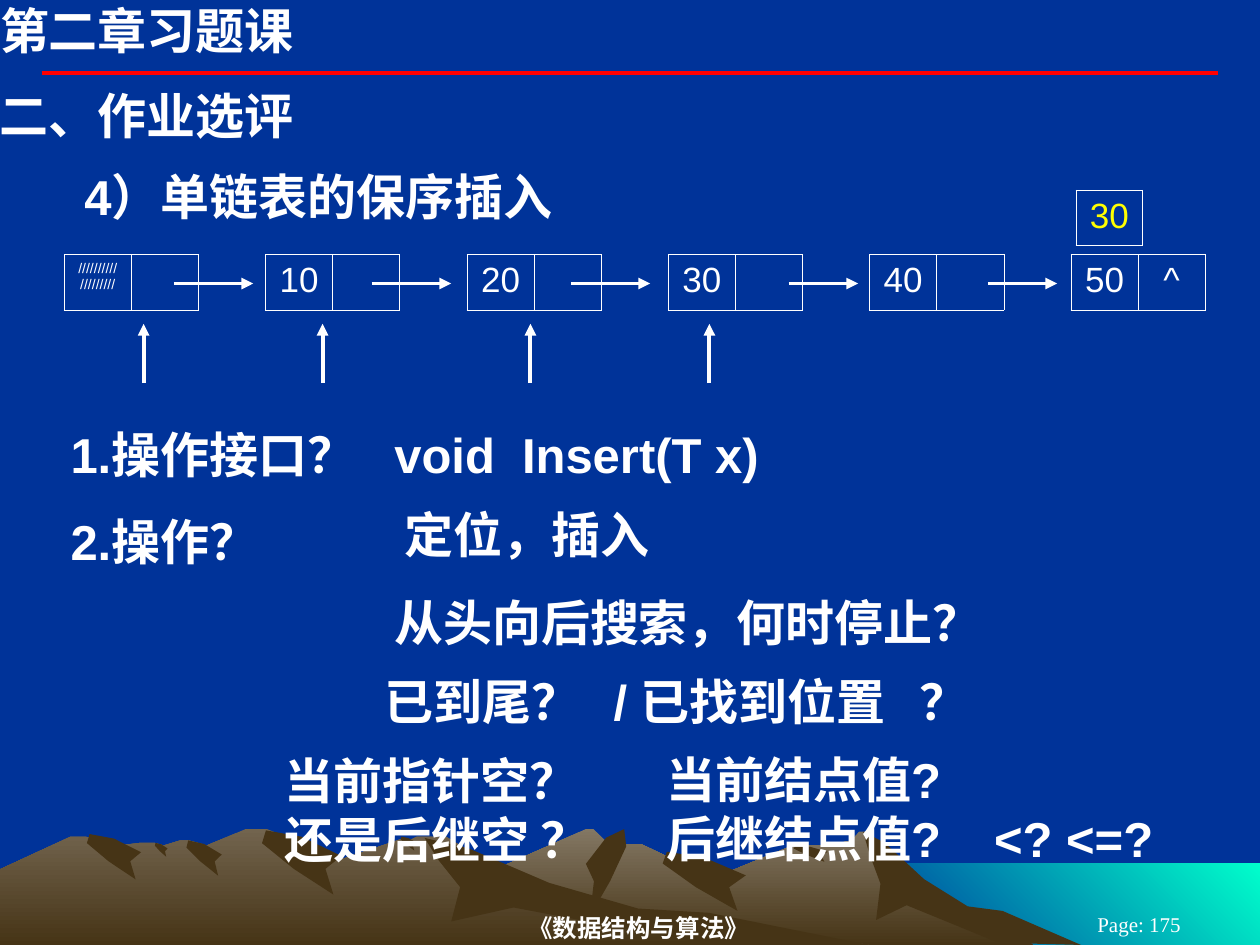
from dataclasses import dataclass

from lxml import etree
from pptx import Presentation
from pptx.dml.color import RGBColor
from pptx.enum.shapes import MSO_CONNECTOR
from pptx.enum.text import MSO_ANCHOR, MSO_AUTO_SIZE, PP_ALIGN
from pptx.oxml.ns import qn
from pptx.util import Inches, Pt

STRAIGHT = MSO_CONNECTOR.STRAIGHT
TOP, MIDDLE = MSO_ANCHOR.TOP, MSO_ANCHOR.MIDDLE
LEFT, CENTER = PP_ALIGN.LEFT, PP_ALIGN.CENTER
NO_AUTOFIT = MSO_AUTO_SIZE.NONE
SLIDE_WIDTH, SLIDE_HEIGHT = 10, 7.5


@dataclass(frozen=True)
class Theme:
    background: str = "003399"
    text: str = "FFFFFF"
    accent: str = "FFFF00"
    rule: str = "FF0000"
    sea: str = "00FFCC"
    rock: str = "463416"
    far_rock: str = "837763"
    near_rock: str = "72644E"
    sans: str = "Arial"
    serif: str = "Times New Roman"
    heading_size: int = 28
    node_size: int = 20
    hatch_size: int = 8
    footer_size: int = 14
    page_size: int = 12
    line_width: float = 2.25
    border_width: float = 0.45


@dataclass(frozen=True)
class Peak:
    """A flat summit from left to right, and the valley that follows it."""
    left: float
    right: float
    top: float
    valley: tuple


THEME = Theme()
HEADING = {"name": THEME.sans, "size": Pt(THEME.heading_size), "bold": True}
NODE = {"name": THEME.sans, "size": Pt(THEME.node_size), "bold": False}
HATCH = {**NODE, "size": Pt(THEME.hatch_size)}
FOOTER = {"name": THEME.serif, "size": Pt(THEME.footer_size), "bold": True}
PAGE = {"name": THEME.serif, "size": Pt(THEME.page_size), "bold": False}

# Scenery outlines in a unit box, stretched to each place where they are used
PANEL = [(0, 0), (1, 0), (1, 1), (0, 1)]
GULLY = [(0.05, 0), (0.5, 0.1), (1, 0.4), (0.8, 0.6), (0.9, 1), (0.4, 0.6), (0, 0.2)]
SLOPE = [(0, 0), (0.1, 0.1), (0.28, 0.42), (0.48, 0.66), (0.64, 0.7), (1, 1),
         (0.62, 0.98), (0.2, 0.65), (0.06, 0.78), (0.08, 0.46), (0.03, 0.2)]
MIRRORED_GULLY = [(1 - x, y) for x, y in GULLY]

FAR_PEAKS = [Peak(4.65, 4.71, 6.58, (4.86, 6.73)), Peak(4.97, 5.09, 6.7, (5.66, 6.97)),
             Peak(6.29, 6.56, 6.71, (6.76, 6.67)), Peak(6.82, 6.87, 6.6, (7.23, 6.98))]
NEAR_PEAKS = [Peak(0.56, 0.68, 6.64, (0.94, 6.71)), Peak(1.11, 1.23, 6.69, (1.3, 6.71)),
              Peak(1.43, 1.5, 6.67, (1.64, 6.71)), Peak(1.95, 2.12, 6.58, (2.71, 6.82)),
              Peak(3.18, 3.27, 6.66, (3.31, 6.64)), Peak(3.34, 3.54, 6.64, (4.32, 7.12))]
FAR_SHADOWS = [(SLOPE, (6.85, 6.6, 1.73, 0.9)), (MIRRORED_GULLY, (4.65, 6.58, 0.32, 0.69)),
               (GULLY, (5.26, 6.76, 0.66, 0.47)), (GULLY, (6.3, 6.71, 0.27, 0.13))]
NEAR_SHADOWS = [(SLOPE, (3.37, 6.65, 3.53, 0.85)), (GULLY, (2.08, 6.59, 0.63, 0.51)),
                (GULLY, (3.18, 6.64, 0.12, 0.11)), (GULLY, (1.48, 6.67, 0.28, 0.28)),
                (GULLY, (1.23, 6.69, 0.1, 0.11)), (GULLY, (0.69, 6.62, 0.43, 0.36))]

# Questions and answers: box, paragraphs, layout
QUESTIONS = [
    ((0, 3.36, 10, 0.49), ["1.操作接口？"], {"indent": 0.54}),
    ((3.11, 3.36, 3.19, 0.49), ["void  Insert(T x)"], {}),
    ((0, 4.05, 2.24, 0.49), ["2.操作？"], {"indent": 0.54}),
    ((3.19, 3.99, 2.28, 0.49), ["定位，插入"], {}),
    ((3.11, 4.69, 5.36, 0.49), ["从头向后搜索，何时停止？"], {}),
    ((3.03, 5.32, 4.73, 0.96), ["已到尾？\t/ 已找到位置\t？"], {"tabs": (1.82, 4.25)}),
    ((2.24, 5.95, 2.52, 1.42), ["当前指针空？", "还是后继空 ？"], {}),
    ((5.27, 5.94, 4.45, 0.96), ["当前结点值?", "后继结点值?\t<? <=?"], {"tabs": (2.6,)}),
]


def rgb(value):
    return RGBColor.from_string(value)


def stretch(outline, box):
    left, top, width, height = box
    return [(left + x * width, top + y * height) for x, y in outline]


def ridge(start, peaks, end_x):
    """Join the peaks into a skyline and close it along the slide's bottom."""
    skyline = [start]
    for peak in peaks:
        skyline += [(peak.left, peak.top), (peak.right, peak.top), peak.valley]
    return skyline + [(end_x, SLIDE_HEIGHT), (start[0], SLIDE_HEIGHT)]


def add_outline(slide, points, colours, angle=0):
    """Fill with one colour, or a gradient turned clockwise by angle."""
    first, *others = [(Inches(x), Inches(y)) for x, y in points]
    builder = slide.shapes.build_freeform(*first)
    builder.add_line_segments(others, close=True)
    outline = builder.convert_to_shape()
    outline.shadow.inherit = False
    outline.line.fill.background()
    if len(colours) == 1:
        outline.fill.solid()
        outline.fill.fore_color.rgb = rgb(colours[0])
        return
    outline.fill.gradient()
    outline.fill.gradient_angle = 360 - angle
    for stop, colour in zip(outline.fill.gradient_stops, colours):
        stop.color.rgb = rgb(colour)


def add_line(slide, start, end, colour=THEME.text, arrow=True):
    line = slide.shapes.add_connector(STRAIGHT, *map(Inches, start + end))
    line.line.color.rgb = rgb(colour)
    line.line.width = Pt(THEME.line_width)
    if arrow:
        etree.SubElement(line.line._ln, qn("a:tailEnd"), type="triangle")
    etree.SubElement(line._element.spPr, qn("a:effectLst"))


def write(frame, lines, style, colour=THEME.text, align=LEFT, indent=0, tabs=()):
    for index, content in enumerate(lines):
        paragraph = frame.paragraphs[0] if index == 0 else frame.add_paragraph()
        paragraph.alignment = align
        properties = paragraph._p.get_or_add_pPr()
        if indent:
            properties.set("marL", str(Inches(indent)))
        if tabs:
            stops = etree.SubElement(properties, qn("a:tabLst"))
            for stop in tabs:
                etree.SubElement(stops, qn("a:tab"), pos=str(Inches(stop)), algn="l")
        run = paragraph.add_run()
        run.text = content
        for name, value in style.items():
            setattr(run.font, name, value)
        run.font.color.rgb = rgb(colour)


def place_text(box, at, lines, style=HEADING, insets=(0.02, 0.01), anchor=TOP, **layout):
    box.left, box.top, box.width, box.height = map(Inches, at)
    side, end = map(Inches, insets)
    frame_format = {"word_wrap": True, "auto_size": NO_AUTOFIT, "vertical_anchor": anchor,
                    "margin_left": side, "margin_right": side,
                    "margin_top": end, "margin_bottom": end}
    for name, value in frame_format.items():
        setattr(box.text_frame, name, value)
    write(box.text_frame, lines, style, **layout)


def add_text(slide, at, lines, **layout):
    place_text(slide.shapes.add_textbox(0, 0, 0, 0), at, lines, **layout)


def set_borders(cell, visible):
    properties = cell._tc.get_or_add_tcPr()
    for index, side in enumerate("LRTB"):
        border = etree.Element(qn(f"a:ln{side}"), w=str(Pt(THEME.border_width)))
        if side in visible:
            fill = etree.SubElement(border, qn("a:solidFill"))
            etree.SubElement(fill, qn("a:srgbClr"), val=THEME.text)
        else:
            etree.SubElement(border, qn("a:noFill"))
        properties.insert(index, border)


def add_nodes(slide, at, values, colour=THEME.text):
    """Draw a row of node cells; None is a gap between two nodes."""
    table = slide.shapes.add_table(1, len(values), *map(Inches, at)).table
    table.first_row = table.horz_banding = False
    for column, cell, value in zip(table.columns, table.rows[0].cells, values):
        column.width = Inches(at[2] / len(values))
        cell.fill.background()
        set_borders(cell, "LR" if value is None else "LRTB")
        style = HATCH if value and value.startswith("/") else NODE
        write(cell.text_frame, [value or ""], style, colour, CENTER)


def add_scenery(slide):
    add_outline(slide, stretch(PANEL, (6.83, 6.85, 3.17, 0.65)),
                (THEME.sea, THEME.background), 135)
    far = ridge((2.58, SLIDE_HEIGHT), FAR_PEAKS, 8.2)
    near = ridge((0, 6.9), NEAR_PEAKS, 6.9)
    for skyline, light, shadows in ((far, THEME.far_rock, FAR_SHADOWS),
                                    (near, THEME.near_rock, NEAR_SHADOWS)):
        add_outline(slide, skyline, (light, THEME.rock), 90)
        for outline, box in shadows:
            add_outline(slide, stretch(outline, box), (THEME.rock,))


def add_linked_list(slide):
    values = ["/" * 19, ""]
    for key in ("10", "20", "30", "40", "50"):
        values += [None, key, ""]
    values[-1] = "^"
    add_nodes(slide, (0.51, 2.02, 9.06, 0.44), values)
    add_nodes(slide, (8.54, 1.51, 0.53, 0.44), ["30"], THEME.accent)
    # Links between nodes, then the moving pointer below them
    for start, end in ((1.38, 2.01), (2.95, 3.58), (4.53, 5.16), (6.26, 6.81), (7.84, 8.39)):
        add_line(slide, (start, 2.25), (end, 2.25))
    for x in (1.14, 2.56, 4.21, 5.63):
        add_line(slide, (x, 3.04), (x, 2.57))


def add_footer(slide):
    add_text(slide, (2.04, 7.22, 6.06, 0.28), ["《数据结构与算法》"], style=FOOTER,
             insets=(0, 0.01), anchor=MIDDLE, align=CENTER)
    add_text(slide, (8.25, 7.25, 1.58, 0.17), ["Page: 175"], style=PAGE,
             insets=(0.1, 0.05), anchor=MIDDLE, align=CENTER)


def add_headings(slide):
    place_text(slide.shapes.title, (0, 0, 6.5, 0.47), ["第二章习题课"], insets=(0, 0))
    add_line(slide, (0.33, 0.58), (9.67, 0.58), THEME.rule, arrow=False)
    add_text(slide, (0, 0.68, 9.57, 0.47), ["二、作业选评"], insets=(0, 0))
    add_text(slide, (0, 1.31, 10, 0.49), ["4）单链表的保序插入"], indent=0.65)


def main():
    deck = Presentation()
    deck.slide_width, deck.slide_height = Inches(SLIDE_WIDTH), Inches(SLIDE_HEIGHT)
    slide = deck.slides.add_slide(deck.slide_layouts[5])
    slide.background.fill.solid()
    slide.background.fill.fore_color.rgb = rgb(THEME.background)
    add_scenery(slide)
    add_footer(slide)
    add_headings(slide)
    add_linked_list(slide)
    for at, lines, layout in QUESTIONS:
        add_text(slide, at, lines, **layout)
    deck.save("out.pptx")


if __name__ == "__main__":
    main()
